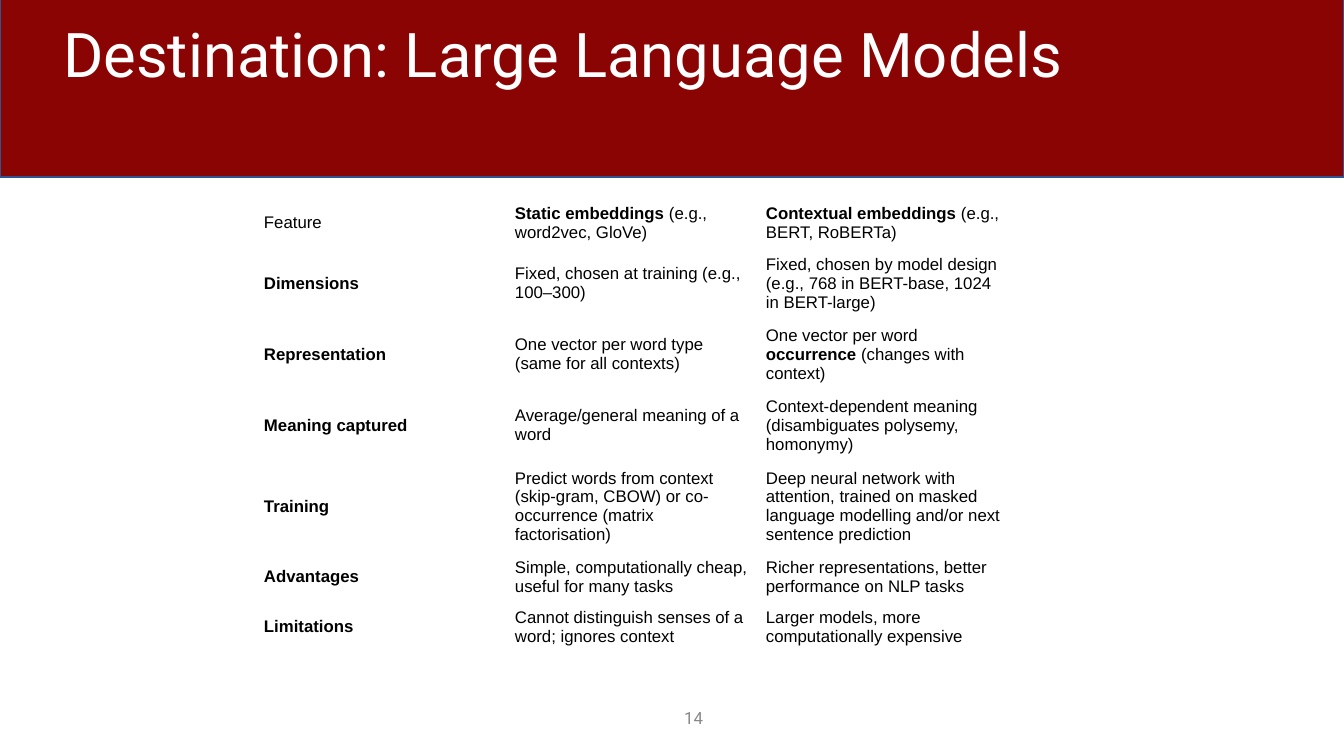
from pptx import Presentation
from pptx.dml.color import RGBColor
from pptx.enum.shapes import MSO_SHAPE
from pptx.enum.text import MSO_ANCHOR, PP_ALIGN
from pptx.util import Emu, Pt

EMU_PER_PX = 914400 / 100.8
TITLE_ONLY = 5

# Each cell is a list of (text, bold) runs.
COMPARISON = [
    [[("Feature", False)],
     [("Static embeddings", True), (" (e.g., word2vec, GloVe)", False)],
     [("Contextual embeddings", True), (" (e.g., BERT, RoBERTa)", False)]],
    [[("Dimensions", True)],
     [("Fixed, chosen at training (e.g., 100–300)", False)],
     [("Fixed, chosen by model design (e.g., 768 in BERT-base, 1024 in BERT-large)", False)]],
    [[("Representation", True)],
     [("One vector per word type (same for all contexts)", False)],
     [("One vector per word ", False), ("occurrence", True), (" (changes with context)", False)]],
    [[("Meaning captured", True)],
     [("Average/general meaning of a word", False)],
     [("Context-dependent meaning (disambiguates polysemy, homonymy)", False)]],
    [[("Training", True)],
     [("Predict words from context (skip-gram, CBOW) or co-occurrence (matrix factorisation)", False)],
     [("Deep neural network with attention, trained on masked language modelling "
       "and/or next sentence prediction", False)]],
    [[("Advantages", True)],
     [("Simple, computationally cheap, useful for many tasks", False)],
     [("Richer representations, better performance on NLP tasks", False)]],
    [[("Limitations", True)],
     [("Cannot distinguish senses of a word; ignores context", False)],
     [("Larger models, more computationally expensive", False)]],
]
ROW_HEIGHTS = [50, 71, 71, 71, 91, 50, 50]
COLUMN_WIDTH = 251


def px(length):
    return Emu(round(length * EMU_PER_PX))


def color(hex_string):
    return RGBColor.from_string(hex_string)


class SlideBuilder:
    heading_font = "Roboto"
    body_font = "Arial"

    def __init__(self, slide):
        self.slide = slide

    def add_run(self, paragraph, text, size, font, hex_color, bold=False):
        run = paragraph.add_run()
        run.text = text
        run.font.size = Pt(size)
        run.font.name = font
        run.font.bold = bold
        run.font.color.rgb = color(hex_color)

    def title(self, text, left, top, width, height):
        title = self.slide.shapes.title
        title.left, title.top = px(left), px(top)
        title.width, title.height = px(width), px(height)
        frame = title.text_frame
        frame.word_wrap = True
        frame.vertical_anchor = MSO_ANCHOR.TOP
        frame.margin_top = px(8)
        paragraph = frame.paragraphs[0]
        paragraph.alignment = PP_ALIGN.LEFT
        paragraph.line_spacing = 0.9
        self.add_run(paragraph, text, 44, self.heading_font, "FFFFFF")

    def band(self, left, top, width, height, fill, line):
        """Add a filled rectangle behind everything else."""
        band = self.slide.shapes.add_shape(
            MSO_SHAPE.RECTANGLE, px(left), px(top), px(width), px(height))
        band.shadow.inherit = False
        band.fill.solid()
        band.fill.fore_color.rgb = color(fill)
        band.line.color.rgb = color(line)
        band.line.width = Pt(1)
        band.element.getparent().insert(2, band.element)

    def page_number(self, text, left, top, width, height):
        box = self.slide.shapes.add_textbox(px(left), px(top), px(width), px(height))
        frame = box.text_frame
        frame.word_wrap = True
        frame.vertical_anchor = MSO_ANCHOR.MIDDLE
        paragraph = frame.paragraphs[0]
        paragraph.alignment = PP_ALIGN.RIGHT
        self.add_run(paragraph, text, 12, self.heading_font, "888888")

    def table(self, rows, left, top, column_width, row_heights):
        columns = len(rows[0])
        table = self.slide.shapes.add_table(
            len(rows), columns, px(left), px(top),
            px(column_width * columns), px(sum(row_heights))).table
        table.first_row = table.horz_banding = False
        for column in table.columns:
            column.width = px(column_width)
        for row, height, contents in zip(table.rows, row_heights, rows):
            row.height = px(height)
            for cell, runs in zip(row.cells, contents):
                self.fill_cell(cell, runs)

    def fill_cell(self, cell, runs):
        cell.fill.background()
        cell.vertical_anchor = MSO_ANCHOR.MIDDLE
        cell.margin_left = cell.margin_right = px(7)
        cell.margin_top = cell.margin_bottom = px(4)
        for text, bold in runs:
            self.add_run(cell.text_frame.paragraphs[0], text, 12,
                         self.body_font, "000000", bold)


def main():
    presentation = Presentation()
    presentation.slide_width, presentation.slide_height = px(1344), px(756)
    builder = SlideBuilder(
        presentation.slides.add_slide(presentation.slide_layouts[TITLE_ONLY]))
    builder.band(0, -1, 1344, 178, "8B0404", "31538F")
    builder.page_number("14", 588, 698, 125, 40)
    builder.table(COMPARISON, 257, 198, COLUMN_WIDTH, ROW_HEIGHTS)
    builder.title("Destination: Large Language Models", 53, 16, 1159, 146)
    presentation.save("out.pptx")


if __name__ == "__main__":
    main()
